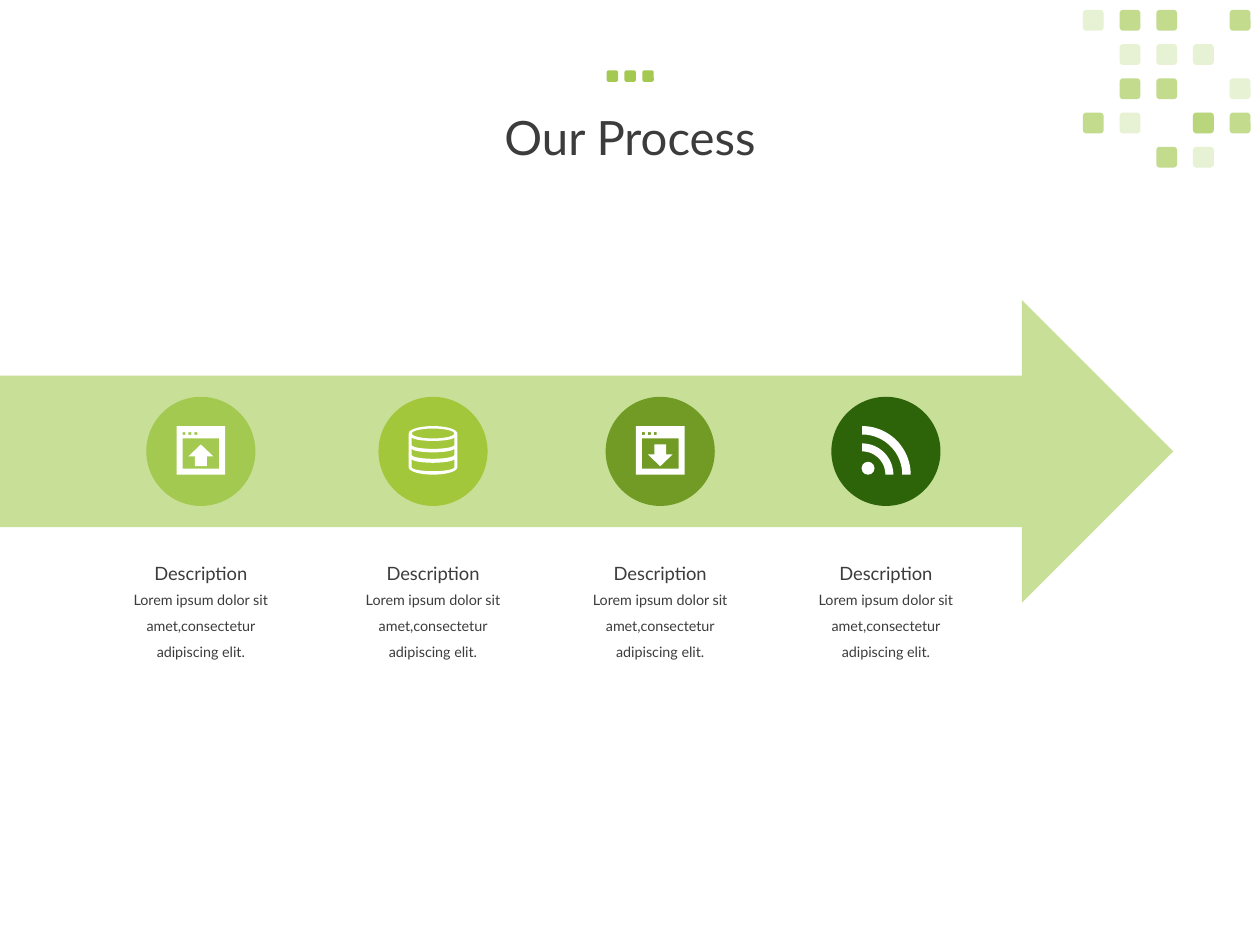
import math
from pptx import Presentation, util as u
from pptx.dml.color import RGBColor
from pptx.enum import shapes, text
from pptx.oxml.ns import qn
from pptx.oxml.xmlchemy import OxmlElement

KIND = shapes.MSO_SHAPE
WHITE, LEAF, INK = "FFFFFF", "A3C951", "3C3C3C"


def hue(code):
    return RGBColor.from_string(code)


def put(item, values):
    for name, value in values.items():
        setattr(item, name, value)


def box(left, top, right, base):
    return [(left, top), (right, top), (right, base), (left, base)]


def arc(x, y, wide, high, start, end):
    turns = [math.radians(start + (end - start) * i / 24) for i in range(25)]
    return [(x + wide * math.cos(t), y + high * math.sin(t)) for t in turns]


class Page:
    font = "Lato"

    def __init__(self, deck):
        self.slide = deck.slides.add_slide(deck.slide_layouts[6])
        self.items = self.slide.shapes

    def paint(self, item, code, alpha=100):
        item.shadow.inherit = False
        item.fill.solid()
        item.fill.fore_color.rgb = hue(code)
        item.line.fill.background()
        if alpha < 100:
            node = OxmlElement("a:alpha")
            node.set("val", str(alpha * 1000))
            item._element.spPr.find(".//" + qn("a:srgbClr")).append(node)

    def shape(self, kind, x, y, w, h, code, alpha=100):
        item = self.items.add_shape(kind, *map(u.Cm, (x, y, w, h)))
        self.paint(item, code, alpha)

    def outline(self, x, y, rings, code=WHITE):
        rings = [[(u.Cm(x + a), u.Cm(y + b)) for a, b in ring] for ring in rings]
        pen = self.items.build_freeform(*rings[0][0], scale=1.0)
        for i, ring in enumerate(rings):
            if i:
                pen.move_to(*ring[0])
            pen.add_line_segments(ring[1:], close=True)
        self.paint(pen.convert_to_shape(), code)

    def text(self, x, y, w, h, words, size, space=1.0, wrap=True,
             anchor=text.MSO_ANCHOR.TOP):
        frame = self.items.add_textbox(*map(u.Cm, (x, y, w, h))).text_frame
        put(frame, {"word_wrap": wrap, "vertical_anchor": anchor})
        para = frame.paragraphs[0]
        put(para, {"alignment": text.PP_ALIGN.CENTER, "line_spacing": space})
        run = para.add_run()
        run.text = words
        put(run.font, {"name": self.font, "size": u.Pt(size)})
        run.font.color.rgb = hue(INK)


def window(page, x, y, flip):
    dots = [box(a, -0.37, a + 0.06, -0.31) for a in (-0.37, -0.25, -0.13)]
    page.outline(x, y, [box(-0.49, -0.49, 0.49, 0.49), *dots,
                        box(-0.37, -0.24, 0.37, 0.37)])
    arrow = [(-0.12, -0.12), (0.12, -0.12), (0.12, 0.08), (0.25, 0.08),
             (0, 0.32), (-0.25, 0.08), (-0.12, 0.08)]
    page.outline(x, y, [[(a, 0.2 - b if flip else b) for a, b in arrow]])


def upload(page, x, y):
    window(page, x, y, True)


def download(page, x, y):
    window(page, x, y, False)


def store(page, x, y):
    shell = arc(0, -0.34, 0.49, 0.15, 180, 360) + arc(0, 0.34, 0.49, 0.15, 0, 180)
    bands = [arc(0, top, 0.43, 0.08, 180, 0) + arc(0, base, 0.43, 0.08, 0, 180)
             for top, base in ((-0.27, -0.11), (-0.04, 0.09), (0.17, 0.34))]
    page.outline(x, y, [shell, arc(0, -0.34, 0.43, 0.1, 0, 360), *bands])


def feed(page, x, y):
    page.shape(KIND.OVAL, x - 0.49, y + 0.23, 0.26, 0.26, WHITE)
    for far, near in ((0.63, 0.47), (0.98, 0.81)):
        page.outline(x - 0.48, y + 0.49, [arc(0, 0, far, far, 270, 360)
                                          + arc(0, 0, near, near, 360, 270)])


deck = Presentation()
put(deck, {"slide_width": u.Cm(25.4), "slide_height": u.Cm(19.05)})
page = Page(deck)

page.text(1.75, 0.99, 21.9, 3.68, "Our Process", 27, 0.9,
          anchor=text.MSO_ANCHOR.MIDDLE)

tints = {"L": [25], "H": [65], "B": [65, 25], ".": []}
for row, line in enumerate(("LHH.H", ".LLL.", ".HH.L", "HL.BH", "..HL.")):
    for col, mark in enumerate(line):
        for alpha in tints[mark]:
            page.shape(KIND.ROUNDED_RECTANGLE, 21.83 + 0.74 * col,
                       0.2 + 0.69 * row, 0.42, 0.42, LEAF, alpha)

for i in range(3):
    page.shape(KIND.ROUNDED_RECTANGLE, 12.23 + 0.36 * i, 1.42, 0.23, 0.23, LEAF)

page.shape(KIND.NOTCHED_RIGHT_ARROW, -1.55, 6.05, 25.2, 6.1, "C8DF97")

steps = [(4.05, LEAF, upload), (8.73, "A3C73A", store),
         (13.31, "729B25", download), (17.86, "2D6409", feed)]
for x, code, icon in steps:
    page.shape(KIND.OVAL, x - 1.1, 8, 2.2, 2.2, code)
    icon(page, x, 9.08)
    page.text(x - 1.26, 11.2, 2.52, 0.7, "Description", 10.5, wrap=False)
    page.text(x - 1.89, 11.63, 3.78, 1.78,
              "Lorem ipsum dolor sit amet,consectetur adipiscing elit.", 8.2, 1.5)

deck.save("out.pptx")
